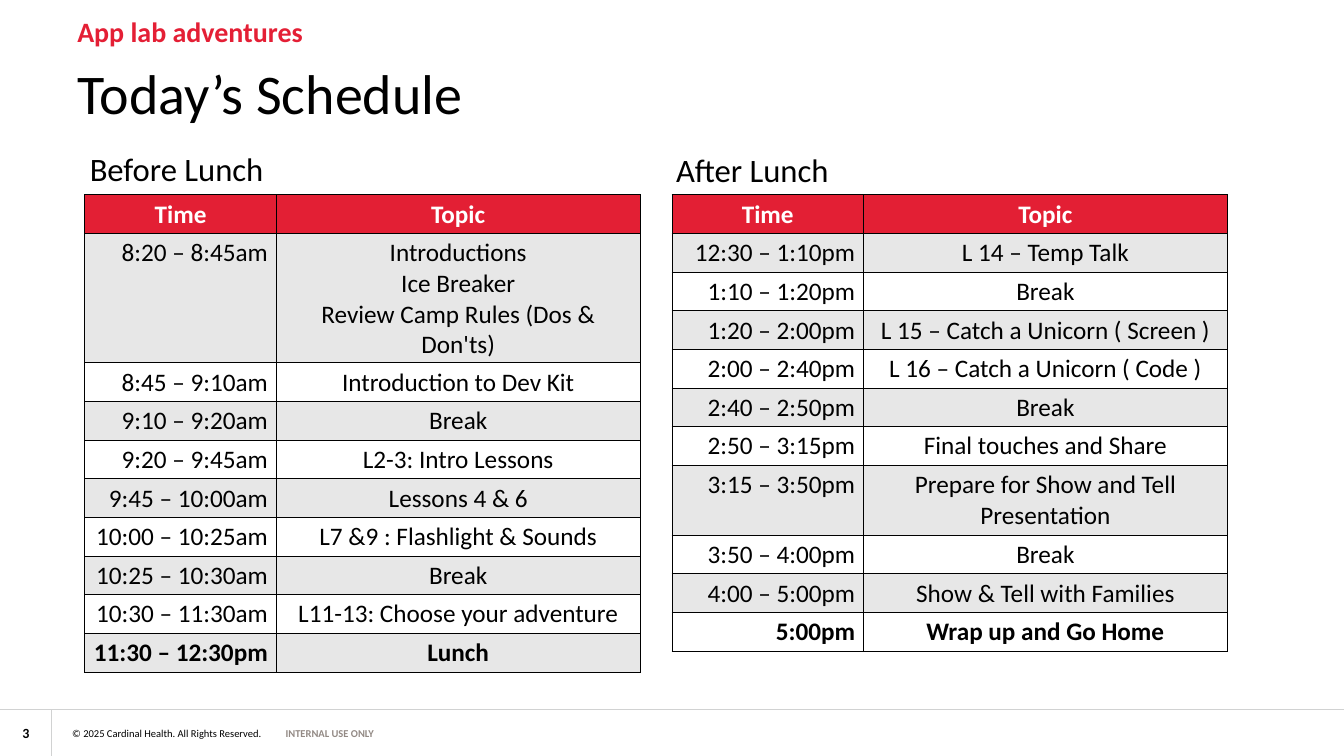
from pptx import Presentation
from pptx.dml.color import RGBColor as Rgb
from pptx.enum.text import MSO_ANCHOR as Anchor, MSO_AUTO_SIZE as Fit, PP_ALIGN as Align
from pptx.oxml.ns import qn
from pptx.util import Inches, Pt
from lxml.etree import SubElement as Sub

HUE = {"red": "E41F35", "head": "E31F34", "band": "E7E7E7", "white": "FFFFFF",
       "black": "000000", "rule": "D1D2D2", "note": "938A85"}


def put(par, text, size, hue="black", bold=False):
    run = par.add_run()
    run.text = text
    run.font.name = "Calibri"
    run.font.size = Pt(size)
    run.font.bold = bold
    run.font.color.rgb = Rgb.from_string(HUE[hue])


def edge(cell):
    props = cell._tc.get_or_add_tcPr()
    for side in ("lnL", "lnR", "lnT", "lnB"):
        line = Sub(props, qn("a:" + side), w="12700")
        paint = Sub(line, qn("a:solidFill"))
        Sub(paint, qn("a:srgbClr"), val=HUE["black"])


deck = Presentation()
deck.slide_width, deck.slide_height = Inches(16), Inches(9)
slide = deck.slides.add_slide(deck.slide_layouts[1])
shapes = slide.shapes

for x1, y1, x2, y2, width in [(0, 8.45, 16, 8.45, 1), (0.61, 8.45, 0.61, 9, 0.5)]:
    rule = shapes.add_connector(1, Inches(x1), Inches(y1), Inches(x2), Inches(y2))
    rule.line.color.rgb = Rgb.from_string(HUE["rule"])
    rule.line.width = Pt(width)
    Sub(rule._element.spPr, qn("a:effectLst"))

foot = [
    (0.07, 0.48, "3", 12, "black", True, Align.CENTER),
    (0.86, 2.5, "© 2025 Cardinal Health. All Rights Reserved.", 9, "black", False, Align.LEFT),
    (3.4, 1.4, "INTERNAL USE ONLY", 9, "note", True, Align.LEFT),
]
for left, width, text, size, hue, bold, align in foot:
    frame = shapes.add_textbox(Inches(left), Inches(8.65), Inches(width), Inches(0.15)).text_frame
    frame.margin_left = frame.margin_right = frame.margin_top = frame.margin_bottom = 0
    frame.vertical_anchor = Anchor.MIDDLE
    frame.word_wrap = True
    frame.paragraphs[0].alignment = align
    put(frame.paragraphs[0], text, size, hue, bold)

heads = [
    (slide.placeholders[1], 0.18, 0.48, "App lab adventures", 24, "red", True),
    (shapes.title, 0.77, 0.85, "Today’s Schedule", 48, "black", False),
]
for holder, top, height, text, size, hue, bold in heads:
    holder.left, holder.top = Inches(0.82), Inches(top)
    holder.width, holder.height = Inches(14.28), Inches(height)
    frame = holder.text_frame
    frame.auto_size = Fit.NONE
    frame.vertical_anchor = Anchor.TOP
    par = frame.paragraphs[0]
    props = par._p.get_or_add_pPr()
    props.set("marL", "0")
    props.set("indent", "0")
    Sub(props, qn("a:buNone"))
    par.alignment = Align.LEFT
    par.line_spacing = 0.85
    par.space_before = Pt(0)
    put(par, text, size, hue, bold)

before = [
    ("Time", "Topic"),
    ("8:20 – 8:45am", "Introductions\nIce Breaker\nReview Camp Rules (Dos & Don'ts)"),
    ("8:45 – 9:10am", "Introduction to Dev Kit"),
    ("9:10 – 9:20am", "Break"),
    ("9:20 – 9:45am", "L2-3: Intro Lessons"),
    ("9:45 – 10:00am", "Lessons 4 & 6"),
    ("10:00 – 10:25am", "L7 &9 : Flashlight & Sounds"),
    ("10:25 – 10:30am", "Break"),
    ("10:30 – 11:30am", "L11-13: Choose your adventure"),
    ("11:30 – 12:30pm", "Lunch"),
]
after = [
    ("Time", "Topic"),
    ("12:30 – 1:10pm", "L 14 – Temp Talk"),
    ("1:10 – 1:20pm", "Break"),
    ("1:20 – 2:00pm", "L 15 – Catch a Unicorn ( Screen )"),
    ("2:00 – 2:40pm", "L 16 – Catch a Unicorn ( Code )"),
    ("2:40 – 2:50pm", "Break"),
    ("2:50 – 3:15pm", "Final touches and Share"),
    ("3:15 – 3:50pm", "Prepare for Show and Tell Presentation"),
    ("3:50 – 4:00pm", "Break"),
    ("4:00 – 5:00pm", "Show & Tell with Families"),
    ("5:00pm", "Wrap up and Go Home"),
]
plans = [
    ("Before Lunch", 0.97, 1.72, 2.29, 1.01, before, 1, 1.54),
    ("After Lunch", 7.95, 1.73, 2.05, 8, after, 7, 0.83),
]
for label, x, y, width, left, rows, tall, height in plans:
    frame = shapes.add_textbox(Inches(x), Inches(y), Inches(width), Inches(0.57)).text_frame
    frame.word_wrap = False
    put(frame.paragraphs[0], label, 28)

    last = len(rows) - 1
    grid = shapes.add_table(len(rows), 2, Inches(left), Inches(2.32), Inches(6.61),
                            Inches(0.46 * last + height)).table
    grid.columns[0].width, grid.columns[1].width = Inches(2.28), Inches(4.33)
    for r, row in enumerate(rows):
        grid.rows[r].height = Inches(height if r == tall else 0.46)
        fill = "head" if r == 0 else "band" if r % 2 else "white"
        for c, text in enumerate(row):
            cell = grid.cell(r, c)
            edge(cell)
            cell.fill.solid()
            cell.fill.fore_color.rgb = Rgb.from_string(HUE[fill])
            for i, part in enumerate(text.split("\n")):
                par = cell.text_frame.add_paragraph() if i else cell.text_frame.paragraphs[0]
                par.alignment = Align.RIGHT if r and c == 0 else Align.CENTER
                put(par, part, 21.6, "black" if r else "white", r in (0, last))

deck.save("out.pptx")
